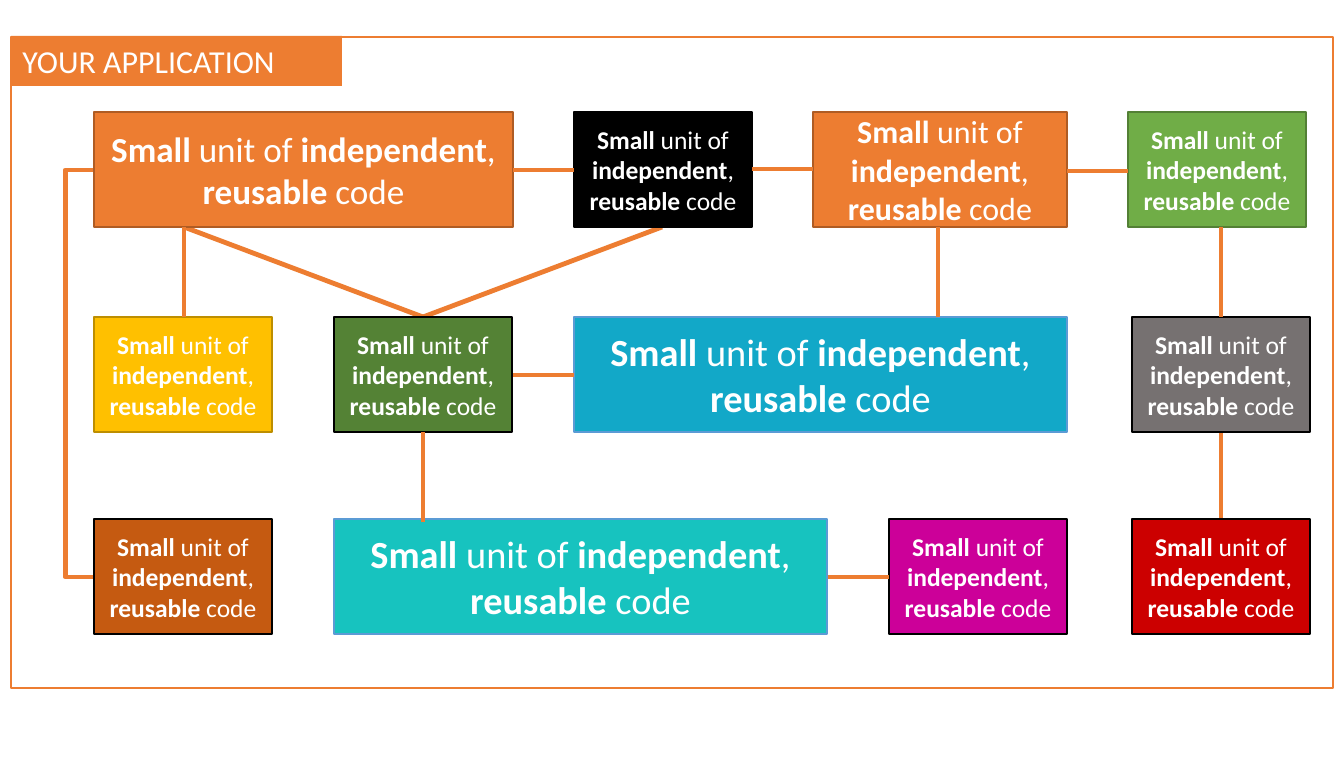
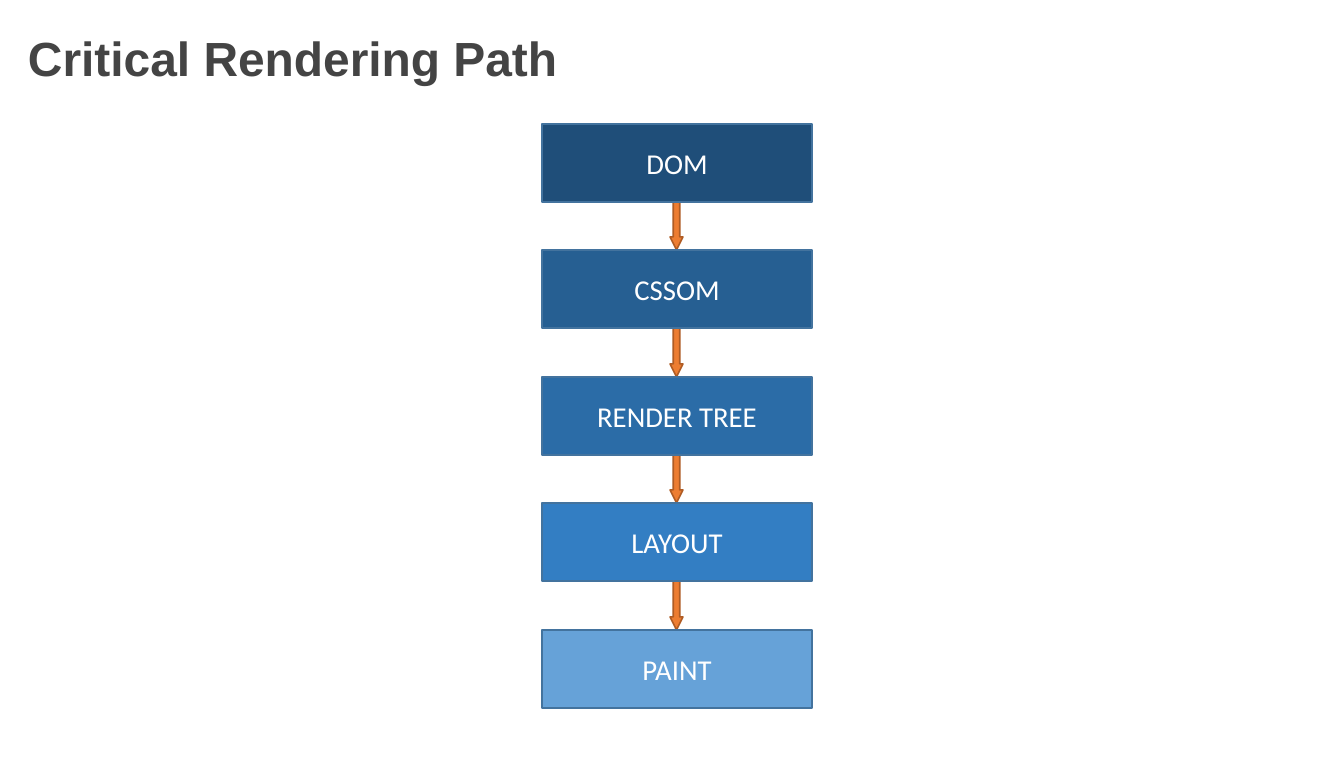
import pptx
import pptx.dml.color
import pptx.enum.shapes
import pptx.enum.text
import pptx.oxml
import pptx.oxml.ns
import pptx.util

PX = 7951  # EMU in one px, 115 px to the inch
ORANGE, ORANGE_EDGE = "ED7D31", "AF5C24"
WHITE, BLACK = "FFFFFF", "000000"
BLUE_EDGE = "5B9BD5"
rgb = pptx.dml.color.RGBColor.from_string
SHAPES = pptx.enum.shapes.MSO_SHAPE
CONNECTORS = pptx.enum.shapes.MSO_CONNECTOR
ALIGN = pptx.enum.text.PP_ALIGN
ANCHOR = pptx.enum.text.MSO_ANCHOR


def add_box(slide, left, top, width, height, fill, edge, spans=(), size=18,
            kind=SHAPES.RECTANGLE):
    """Add a shape; spans are (text, bold) pairs of one centred paragraph."""
    box = slide.shapes.add_shape(kind, left * PX, top * PX, width * PX, height * PX)
    box.shadow.inherit = False
    if fill:
        box.fill.solid()
        box.fill.fore_color.rgb = rgb(fill)
    else:
        box.fill.background()
    if edge:
        box.line.color.rgb = rgb(edge)
        box.line.width = pptx.util.Pt(1)
    else:
        box.line.fill.background()
    box.text_frame.vertical_anchor = ANCHOR.MIDDLE
    para = box.text_frame.paragraphs[0]
    para.alignment = ALIGN.CENTER
    for text, bold in spans:
        span = para.add_run()
        span.text = text
        span.font.name = "Calibri"
        span.font.size = pptx.util.Pt(size)
        span.font.bold = bold
        span.font.color.rgb = rgb(WHITE)
    return box


def add_line(slide, x1, y1, x2, y2, kind=CONNECTORS.STRAIGHT):
    line = slide.shapes.add_connector(kind, x1 * PX, y1 * PX, x2 * PX, y2 * PX)
    line.line.color.rgb = rgb(ORANGE)
    line.line.width = pptx.util.Pt(3)
    properties = line._element.spPr
    properties.append(pptx.oxml.parse_xml(
        "<a:effectLst %s/>" % pptx.oxml.ns.nsdecls("a")))
    return line


deck = pptx.Presentation()
deck.slide_width, deck.slide_height = 1344 * PX, 757 * PX

# Slide 1: application built from small units
page = deck.slides.add_slide(deck.slide_layouts[6])
ROW_1, ROW_2, ROW_3 = 112, 317, 519
UNIT_WIDTH, UNIT_HEIGHT = 178, 115
UNIT_SPANS = [("Small", True), (" unit of ", False), ("independent", True),
              (", ", False), ("reusable", True), (" code", False)]

# Links that run behind the units
bracket = add_line(page, 272, 577, 94, 170, CONNECTORS.ELBOW)
guides = bracket._element.spPr.find(pptx.oxml.ns.qn("a:prstGeom")).get_or_add_avLst()
guides.append(pptx.oxml.parse_xml(
    '<a:gd %s name="adj1" fmla="val 116100"/>' % pptx.oxml.ns.nsdecls("a")))
for ends in [(1221, 432, 1221, 522), (184, 227, 423, 317), (662, 227, 423, 317)]:
    add_line(page, *ends)

# Units: left, top, width, fill, edge, text size
units = [
    (94, ROW_1, 419, ORANGE, ORANGE_EDGE, 22),
    (574, ROW_1, UNIT_WIDTH, BLACK, BLACK, 16),
    (813, ROW_1, 254, ORANGE, ORANGE_EDGE, 20),
    (1128, ROW_1, UNIT_WIDTH, "70AD47", "538035", 16),
    (574, ROW_2, 493, "12A8C8", BLUE_EDGE, 24),
    (1132, ROW_2, UNIT_WIDTH, "767171", BLACK, 16),
    (334, ROW_2, UNIT_WIDTH, "548235", BLACK, 16),
    (94, ROW_2, UNIT_WIDTH, "FFC000", "BD8E00", 16),
    (334, ROW_3, 493, "17C3BF", BLUE_EDGE, 24),
    (1132, ROW_3, UNIT_WIDTH, "CC0000", BLACK, 16),
    (889, ROW_3, UNIT_WIDTH, "CC0099", BLACK, 16),
    (94, ROW_3, UNIT_WIDTH, "C55A11", BLACK, 16),
]
for left, top, width, fill, edge, size in units:
    add_box(page, left, top, width, UNIT_HEIGHT, fill, edge, UNIT_SPANS, size)

# Frame and its label
add_box(page, 11, 37, 1322, 651, None, ORANGE)
label = add_box(page, 11, 36, 331, 50, ORANGE, None, [("YOUR APPLICATION", False)], 20)
label.text_frame.vertical_anchor = ANCHOR.TOP
label.text_frame.paragraphs[0].alignment = ALIGN.LEFT

# Links in front: across the gaps, then down between the rows
for x1, x2, y in [(513, 574, 170), (752, 813, 169), (1067, 1128, 171),
                  (513, 574, 375), (828, 889, 577)]:
    add_line(page, x1, y, x2, y)
for x, y1, y2 in [(184, 227, 317), (938, 227, 317), (1221, 227, 317), (423, 432, 522)]:
    add_line(page, x, y1, x, y2)

# Slide 2: rendering steps
page = deck.slides.add_slide(deck.slide_layouts[5])
title = page.shapes.title
title.left, title.top, title.width, title.height = 28 * PX, 23 * PX, 1291 * PX, 79 * PX
frame = title.text_frame
frame.text = "Critical Rendering Path"
frame.word_wrap = True
frame.auto_size = pptx.enum.text.MSO_AUTO_SIZE.NONE
frame.vertical_anchor = ANCHOR.TOP
frame.margin_left = frame.margin_top = frame.margin_right = frame.margin_bottom = 0
para = frame.paragraphs[0]
para.alignment = ALIGN.LEFT
para.line_spacing = 1.1
font = para.runs[0].font
font.name, font.size, font.bold = "Arial", pptx.util.Pt(30), True
font.color.rgb = rgb("444444")

steps = [("DOM", "1F4E79"), ("CSSOM", "265F92"), ("RENDER TREE", "2B6CA7"),
         ("LAYOUT", "337EC3"), ("PAINT", "66A2D8")]
STEP_HEIGHT = 78
tops = [124 + index * 253 // 2 for index in range(len(steps))]

# Arrows lie below the boxes they join
for top, next_top in zip(tops, tops[1:]):
    arrow_top = top + STEP_HEIGHT
    arrow = add_box(page, 670, arrow_top, 13, next_top - arrow_top, ORANGE, ORANGE_EDGE,
                    kind=SHAPES.DOWN_ARROW)
    arrow.adjustments[0], arrow.adjustments[1] = 0.5, 1
for top, (text, fill) in zip(tops, steps):
    add_box(page, 542, top, 270, STEP_HEIGHT, fill, "43739E", [(text, False)])

deck.save("out.pptx")
